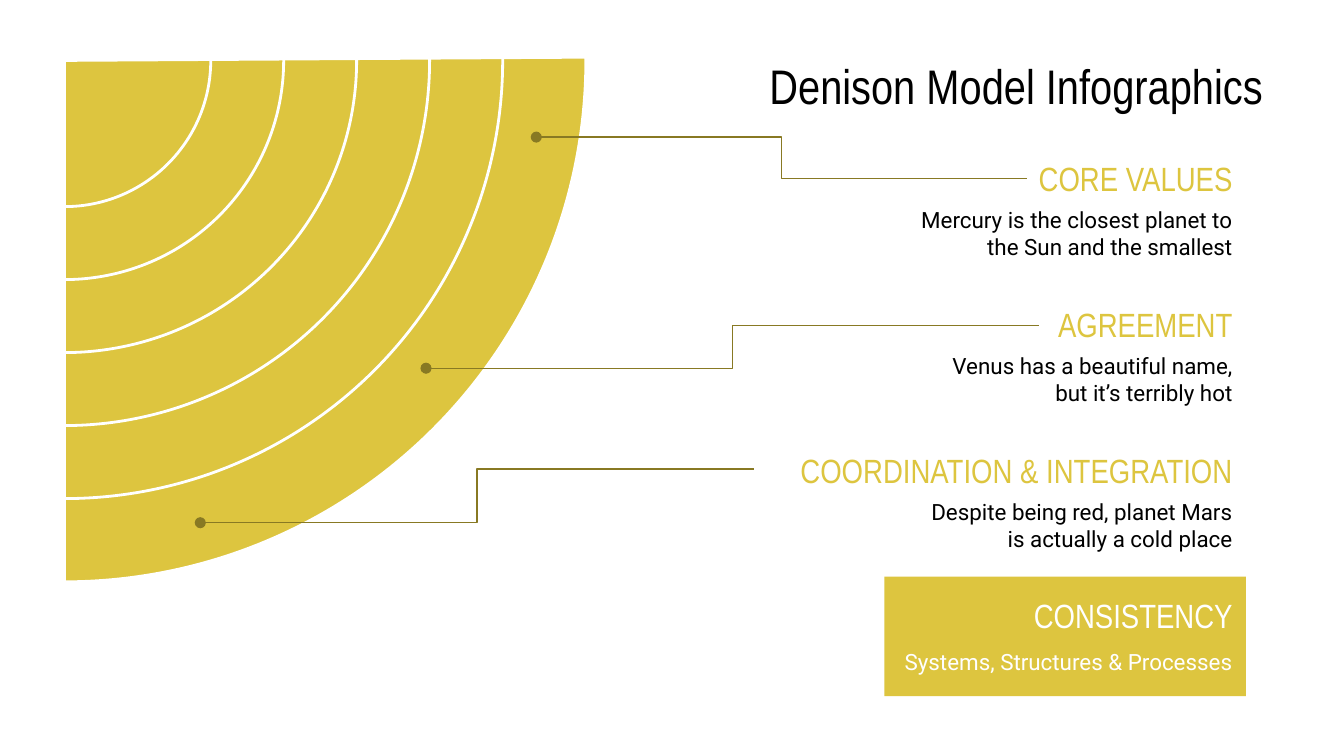
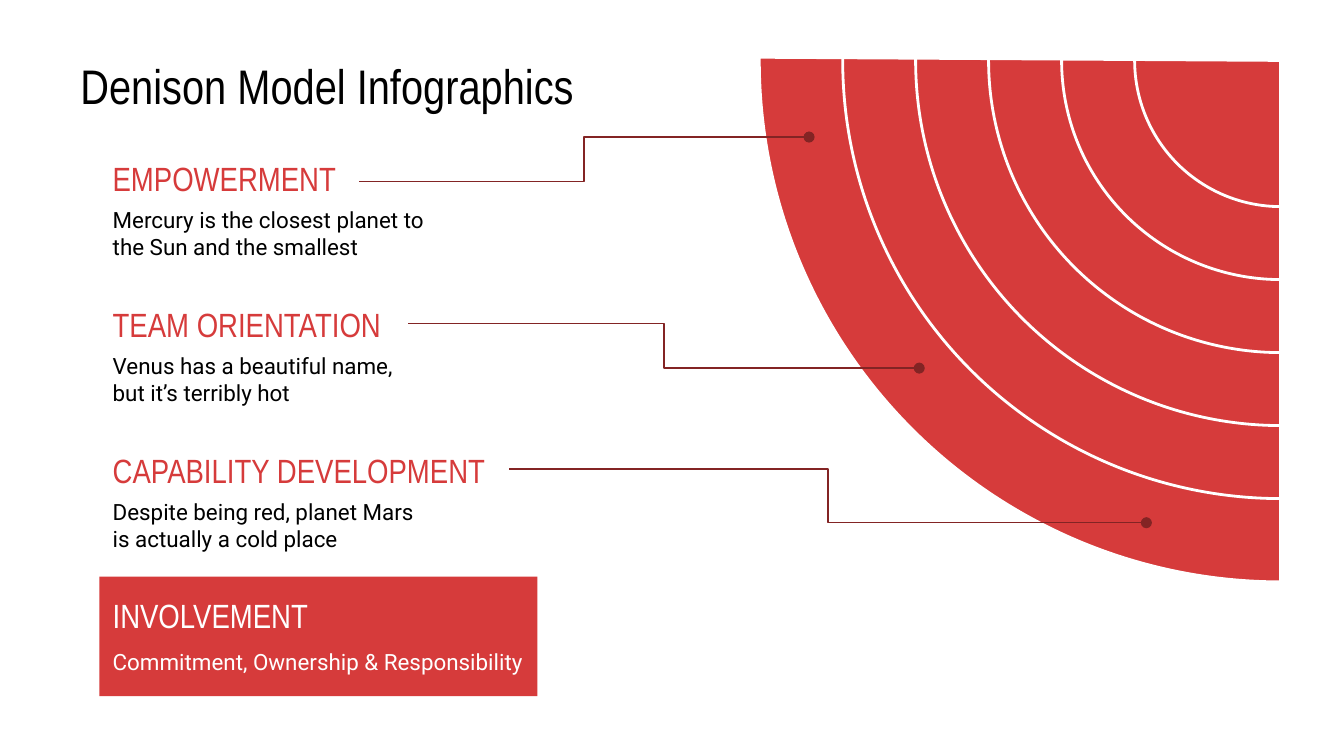
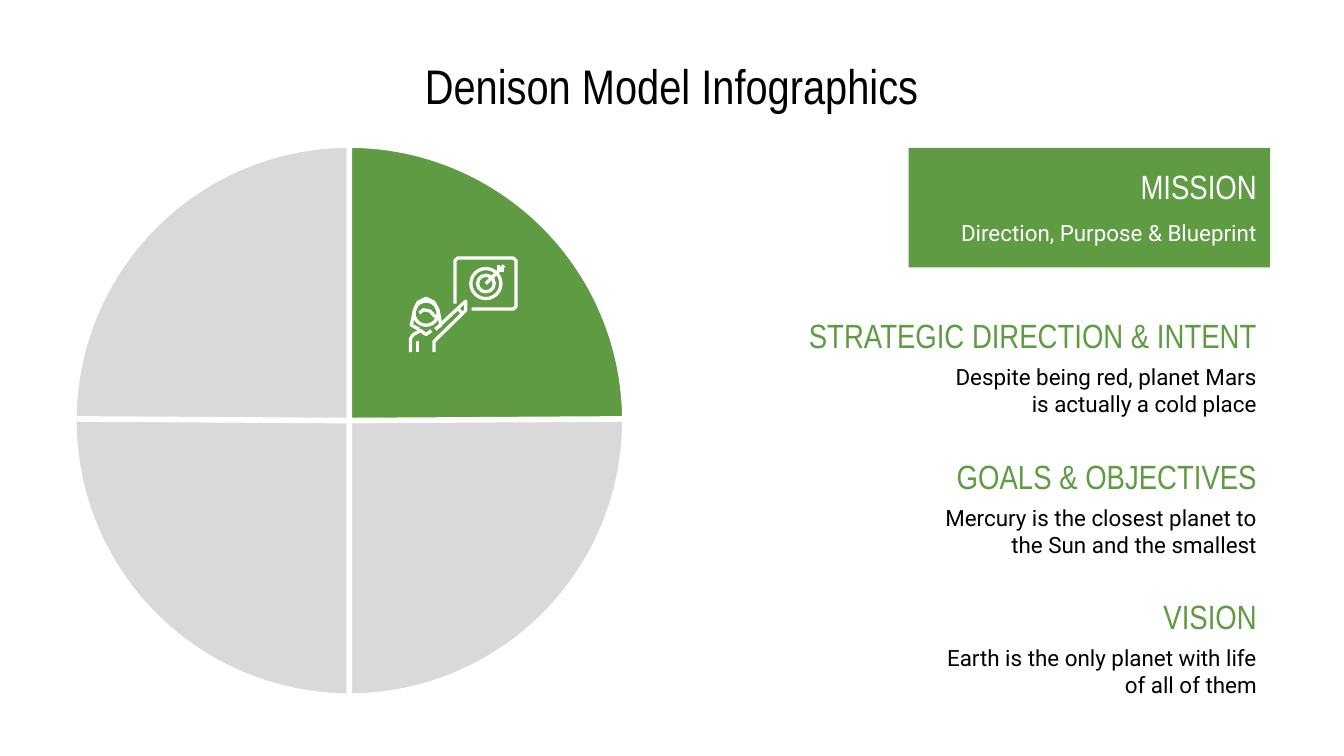
import pptx
import pptx.dml.color
import pptx.enum.shapes
import pptx.enum.text
import pptx.oxml.ns
import pptx.util
from lxml import etree

RGBColor = pptx.dml.color.RGBColor
MSO_SHAPE = pptx.enum.shapes.MSO_SHAPE
MSO_CONNECTOR = pptx.enum.shapes.MSO_CONNECTOR
PP_ALIGN = pptx.enum.text.PP_ALIGN
MSO_ANCHOR = pptx.enum.text.MSO_ANCHOR
Pt = pptx.util.Pt
qn = pptx.oxml.ns.qn

YELLOW = RGBColor(0xDD, 0xC5, 0x3F)
DARK_YELLOW = RGBColor(0x88, 0x79, 0x23)
RED = RGBColor(0xD6, 0x3B, 0x3B)
DARK_RED = RGBColor(0x83, 0x24, 0x24)
GREEN = RGBColor(0x5E, 0x9B, 0x43)
GRAY = RGBColor(0xD9, 0xD9, 0xD9)
WHITE = RGBColor(0xFF, 0xFF, 0xFF)
BLACK = RGBColor(0, 0, 0)
HEADING_FONT, BODY_FONT = "Arial Narrow", "Roboto"

deck = pptx.Presentation()
deck.slide_width = pptx.util.Inches(10)
deck.slide_height = pptx.util.Inches(5.625)
CELL = deck.slide_width / 100  # square grid: 100 columns by 56.25 rows

# Start and end angles of each quarter pie, in units of 100000 / 60000 degrees
TOP_LEFT, TOP_RIGHT = (107.79, 162), (162, 0.21)
BOTTOM_RIGHT, BOTTOM_LEFT = (215.79, 54), (54, 108.21)

MERCURY = "Mercury is the closest planet to the Sun and the smallest"
VENUS = "Venus has a beautiful name, but it’s terribly hot"
MARS = "Despite being red, planet Mars is actually a cold place"
EARTH = "Earth is the only planet with life of all of them"


def draw(slide, kind, box, fill=None, line=None, weight=1.5):
    """Add a preset shape; box is left, top, width, height in cells."""
    shape = slide.shapes.add_shape(kind, *(round(n * CELL) for n in box))
    shape.shadow.inherit = False
    if fill is None:
        shape.fill.background()
    else:
        shape.fill.solid()
        shape.fill.fore_color.rgb = fill
    if line is None:
        shape.line.fill.background()
    else:
        shape.line.color.rgb = line
        shape.line.width = Pt(weight)
    return shape


def write(slide, words, edge, top, size, align, font, points, color,
          anchor=MSO_ANCHOR.MIDDLE):
    """Add text whose box ends (right-aligned) or starts at the column edge."""
    width, height = size
    left = edge - width if align == PP_ALIGN.RIGHT else edge
    box = slide.shapes.add_textbox(*(round(n * CELL) for n in (left, top, width, height)))
    frame = box.text_frame
    frame.word_wrap = True
    frame.vertical_anchor = anchor
    frame.margin_left = frame.margin_right = round(CELL)
    frame.margin_top = frame.margin_bottom = round(CELL)
    paragraph = frame.paragraphs[0]
    paragraph.text = words
    paragraph.alignment = align
    paragraph.font.name = font
    paragraph.font.size = Pt(points)
    paragraph.font.color.rgb = color


pages = [
    dict(color=YELLOW, dark=DARK_YELLOW, align=PP_ALIGN.RIGHT, title_align=PP_ALIGN.RIGHT,
         edge=92.7, first_row=11.2, pitch=10.85, banner_top=42.9, banner_width=26.9,
         banner=("CONSISTENCY", "Systems, Structures & Processes"),
         topics=[("CORE VALUES", MERCURY), ("AGREEMENT", VENUS),
                 ("COORDINATION & INTEGRATION", MARS)],
         fan=(4.8, BOTTOM_RIGHT),
         leaders=[(39.9, 10.2, 76.4, 13.3), (31.7, 27.4, 77.3, 24.2),
                  (14.9, 38.9, 56.1, 34.9)]),
    dict(color=RED, dark=DARK_RED, align=PP_ALIGN.LEFT, title_align=PP_ALIGN.LEFT,
         edge=7.4, first_row=11.2, pitch=10.85, banner_top=42.9, banner_width=32.6,
         banner=("INVOLVEMENT", "Commitment, Ownership & Responsibility"),
         topics=[("EMPOWERMENT", MERCURY), ("TEAM ORIENTATION", VENUS),
                 ("CAPABILITY DEVELOPMENT", MARS)],
         fan=(95.3, BOTTOM_LEFT),
         leaders=[(60.2, 10.2, 26.7, 13.5), (68.4, 27.4, 30.4, 24.1),
                  (85.3, 38.9, 37.9, 34.9)]),
    dict(color=GREEN, align=PP_ALIGN.RIGHT, title_align=PP_ALIGN.CENTER,
         edge=94.5, first_row=22.9, pitch=10.45, banner_top=11, banner_width=26.9,
         banner=("MISSION", "Direction, Purpose & Blueprint"),
         topics=[("STRATEGIC DIRECTION & INTENT", MARS), ("GOALS & OBJECTIVES", MERCURY),
                 ("VISION", EARTH)],
         fan=None, leaders=[]),
]

FAN_ROW, FAN_RADIUS = 4.5, 38.8
RING_RADII = [32.6 - 5.43 * ring for ring in range(5)]

for page in pages:
    slide = deck.slides.add_slide(deck.slide_layouts[6])
    color, align, edge = page["color"], page["align"], page["edge"]
    title_edge = 95 if page["title_align"] == PP_ALIGN.RIGHT else 5
    write(slide, "Denison Model Infographics", title_edge, 4.5, (90, 3.7),
          page["title_align"], HEADING_FONT, 26, BLACK)

    banner_top, banner_width = page["banner_top"], page["banner_width"]
    banner_left = edge - banner_width if align == PP_ALIGN.RIGHT else edge
    draw(slide, MSO_SHAPE.RECTANGLE, (banner_left, banner_top, banner_width, 8.9), color)

    connectors = []
    if page["fan"]:
        center, angles = page["fan"]
        corner = FAN_ROW - FAN_RADIUS
        fan = draw(slide, MSO_SHAPE.PIE,
                   (center - FAN_RADIUS, corner, 2 * FAN_RADIUS, 2 * FAN_RADIUS), color, WHITE)
        fan.adjustments[0], fan.adjustments[1] = angles
        for radius in RING_RADII:
            draw(slide, MSO_SHAPE.OVAL,
                 (center - radius, FAN_ROW - radius, 2 * radius, 2 * radius), line=WHITE)
        connectors.append((MSO_CONNECTOR.STRAIGHT,
                           (center, FAN_ROW + FAN_RADIUS, center, corner), WHITE, 1.5))

    connectors += [(MSO_CONNECTOR.ELBOW, ends, page["dark"], 0.75) for ends in page["leaders"]]
    for kind, ends, line_color, weight in connectors:
        connector = slide.shapes.add_connector(kind, *(round(n * CELL) for n in ends))
        connector.line.color.rgb = line_color
        connector.line.width = Pt(weight)
        if kind == MSO_CONNECTOR.ELBOW:
            etree.SubElement(connector.line._get_or_add_ln(), qn("a:headEnd"), type="oval")
        etree.SubElement(connector._element.spPr, qn("a:effectLst"))

    for row, (heading, detail) in enumerate(page["topics"]):
        top = page["first_row"] + row * page["pitch"]
        write(slide, heading, edge, top, (36.6, 4.1), align, HEADING_FONT, 18, color)
        write(slide, detail, edge, top + 3.15, (25.5, 8.1), align, BODY_FONT, 12, BLACK,
              MSO_ANCHOR.TOP)

    heading, detail = page["banner"]
    write(slide, heading, edge, banner_top + 0.8, (banner_width, 4.1), align,
          HEADING_FONT, 18, WHITE)
    write(slide, detail, edge, banner_top + 4.3, (banner_width, 3.7), align,
          BODY_FONT, 12, WHITE, MSO_ANCHOR.TOP)

# The last slide shows the whole wheel with one quarter highlighted
for angles, fill in [(TOP_LEFT, GRAY), (TOP_RIGHT, GREEN),
                     (BOTTOM_LEFT, GRAY), (BOTTOM_RIGHT, GRAY)]:
    quarter = draw(slide, MSO_SHAPE.PIE, (5.5, 10.8, 41, 41), fill, WHITE, 3)
    quarter.adjustments[0], quarter.adjustments[1] = angles

# Icon: a presenter pointing at a target on a board
ICON_WEIGHT = 1.75
for column, row, radius in [(36.15, 21.1, 1.12), (36.15, 21.1, 0.62), (31.7, 23.3, 0.9)]:
    draw(slide, MSO_SHAPE.OVAL, (column - radius, row - radius, 2 * radius, 2 * radius),
         line=WHITE, weight=ICON_WEIGHT)

board = [(33.85, 22.6), (33.85, 19.4), (34.05, 19.2), (38.2, 19.2), (38.4, 19.4),
         (38.4, 22.8), (38.2, 23), (35.1, 23)]
arrow = [(36.15, 21.1), (37.5, 19.75)]
fletching = [(37.1, 19.7), (37.1, 20.1), (37.5, 20.1)]
hair = [(31.2, 24.5), (30.6, 24.2), (30.85, 23.1), (31.1, 22.5), (31.7, 22.2),
        (32.3, 22.5), (32.6, 23.1), (32.8, 24.2), (32.4, 24.5)]
fringe = [(31.2, 23.3), (31.5, 23.05), (32, 23.15), (32.4, 23.6)]
shoulder = [(30.55, 26.2), (30.55, 25.2), (30.75, 24.9), (31.3, 24.6), (31.7, 24.9),
            (32.1, 24.6)]
sleeve = [(31.05, 25.4), (31.05, 26.2)]
arm = [(32.4, 24.5), (34.65, 22.4), (34.65, 23.1), (32.3, 25.4), (32.3, 26.2)]
wrist = [(34.1, 23), (34.4, 23.3)]
for stroke in [board, arrow, fletching, hair, fringe, shoulder, sleeve, arm, wrist]:
    start, *rest = [(round(x * CELL), round(y * CELL)) for x, y in stroke]
    builder = slide.shapes.build_freeform(*start)
    builder.add_line_segments(rest, close=False)
    outline = builder.convert_to_shape()
    outline.shadow.inherit = False
    outline.fill.background()
    outline.line.color.rgb = WHITE
    outline.line.width = Pt(ICON_WEIGHT)

deck.save("out.pptx")
